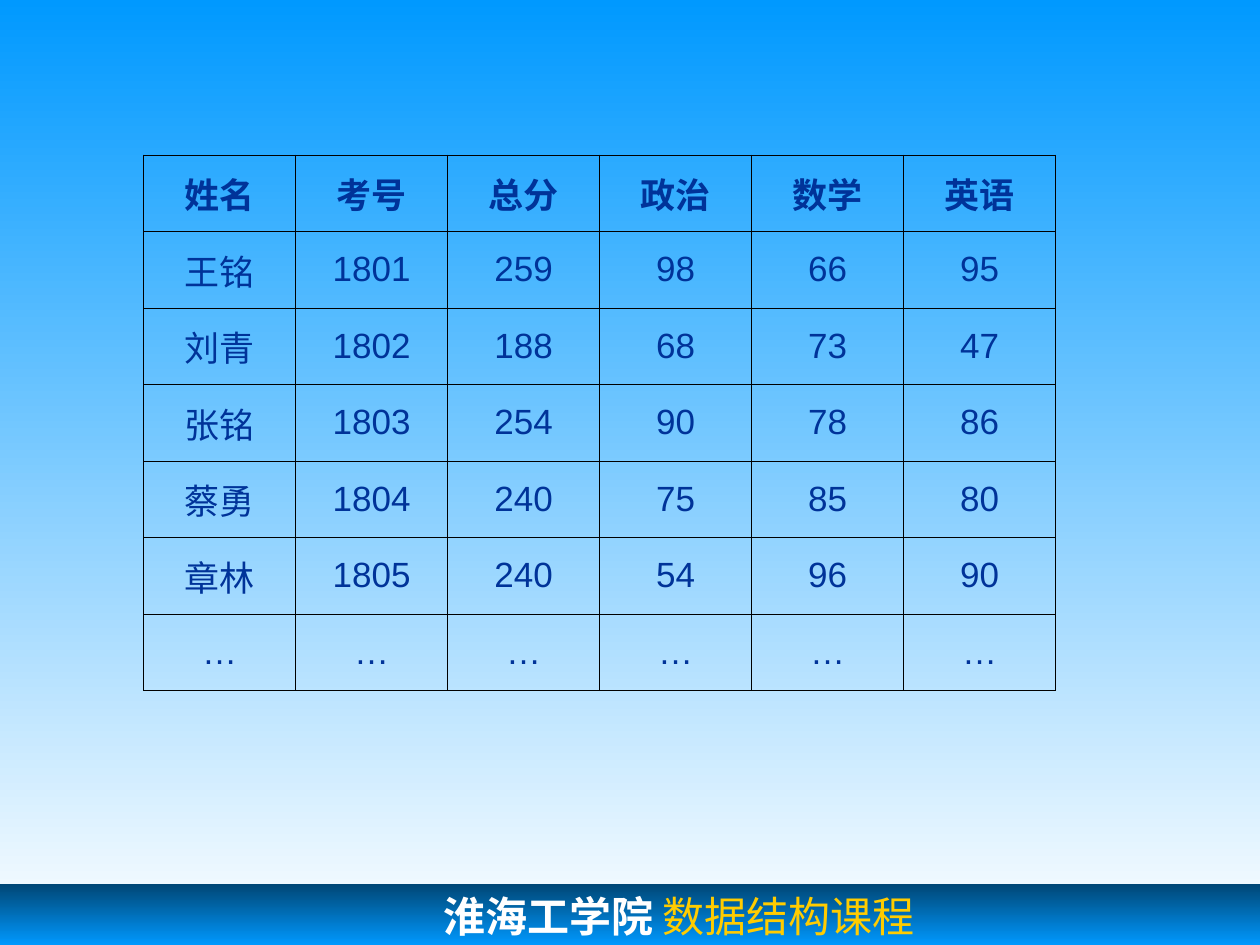
from typing import Any, NamedTuple

from lxml import etree
from pptx import Presentation
from pptx.dml.color import RGBColor
from pptx.enum.shapes import MSO_SHAPE
from pptx.enum.text import MSO_ANCHOR, PP_ALIGN
from pptx.oxml.ns import qn
from pptx.util import Inches, Pt

RECT = MSO_SHAPE.RECTANGLE
TOP, MIDDLE = MSO_ANCHOR.TOP, MSO_ANCHOR.MIDDLE
LEFT, CENTER = PP_ALIGN.LEFT, PP_ALIGN.CENTER

COLORS = {
    "sky": "0099FF",
    "deep": "004776",
    "white": "FFFFFF",
    "gold": "FFCC00",
    "navy": "003399",
    "black": "000000",
}


class Stop(NamedTuple):
    place: int  # percent
    color: str


HEADS = ["姓名", "考号", "总分", "政治", "数学", "英语"]
SCORES = [
    ["王铭", "1801", "259", "98", "66", "95"],
    ["刘青", "1802", "188", "68", "73", "47"],
    ["张铭", "1803", "254", "90", "78", "86"],
    ["蔡勇", "1804", "240", "75", "85", "80"],
    ["章林", "1805", "240", "54", "96", "90"],
    ["…"] * len(HEADS),
]


def add_text(para: Any, text: str, *, size: float, font: str, color: str,
             bold: bool = False, align: Any = LEFT) -> None:
    """Add one formatted run to a paragraph."""
    para.alignment = align
    run = para.add_run()
    run.text = text
    run.font.size = Pt(size)
    run.font.name = font
    run.font.bold = bold
    run.font.color.rgb = RGBColor.from_string(COLORS[color])


def add_color(node: Any, color: str) -> None:
    etree.SubElement(node, qn("a:srgbClr"), val=COLORS[color])


def shade(fill: Any, root: Any, stops: list[Stop]) -> None:
    """Fill with a gradient that runs from top to bottom."""
    fill.gradient()
    fill.gradient_angle = 270
    nodes = root.find(".//" + qn("a:gsLst"))
    nodes.clear()
    for stop in stops:
        node = etree.SubElement(nodes, qn("a:gs"), pos=str(stop.place * 1000))
        add_color(node, stop.color)


def add_edges(cell: Any, color: str, width: float) -> None:
    """Draw the four borders of a cell, which come before its fill."""
    props = cell._tc.get_or_add_tcPr()
    for spot, side in enumerate(("lnL", "lnR", "lnT", "lnB")):
        line = etree.Element(qn("a:" + side), w=str(Pt(width)))
        add_color(etree.SubElement(line, qn("a:solidFill")), color)
        props.insert(spot, line)


def add_footer(slide: Any) -> None:
    bar = slide.shapes.add_shape(RECT, 0, Inches(7.02), Inches(10), Inches(0.97))
    bar.shadow.inherit = False
    bar.line.fill.background()
    shade(bar.fill, bar._element,
          [Stop(0, "deep"), Stop(50, "sky"), Stop(100, "deep")])
    frame = bar.text_frame
    frame.word_wrap = True
    frame.vertical_anchor = TOP
    para = frame.paragraphs[0]
    para._p.get_or_add_pPr().set("marL", str(Inches(3.42)))
    add_text(para, "淮海工学院", size=24, font="Noto Sans Mono",
             color="white", bold=True)
    add_text(para, " 数据结构课程", size=24, font="Times New Roman", color="gold")


def add_scores(slide: Any) -> None:
    rows = [HEADS, *SCORES]
    table = slide.shapes.add_table(
        len(rows), len(HEADS),
        Inches(1.14), Inches(1.23), Inches(7.24), Inches(4.25)).table
    table.first_row = False
    table.horz_banding = False
    for row, words in enumerate(rows):
        for col, word in enumerate(words):
            cell = table.cell(row, col)
            cell.fill.background()
            cell.vertical_anchor = MIDDLE
            add_edges(cell, "black", 0.45)
            add_text(cell.text_frame.paragraphs[0], word, size=20, font="Arial",
                     color="navy", bold=row == 0, align=CENTER)


def main() -> None:
    deck = Presentation()
    deck.slide_width, deck.slide_height = Inches(10), Inches(7.5)
    slide = deck.slides.add_slide(deck.slide_layouts[6])

    # Background
    shade(slide.background.fill, slide._element,
          [Stop(0, "sky"), Stop(100, "white")])
    # Course bar and score table
    add_footer(slide)
    add_scores(slide)
    deck.save("out.pptx")


if __name__ == "__main__":
    main()
